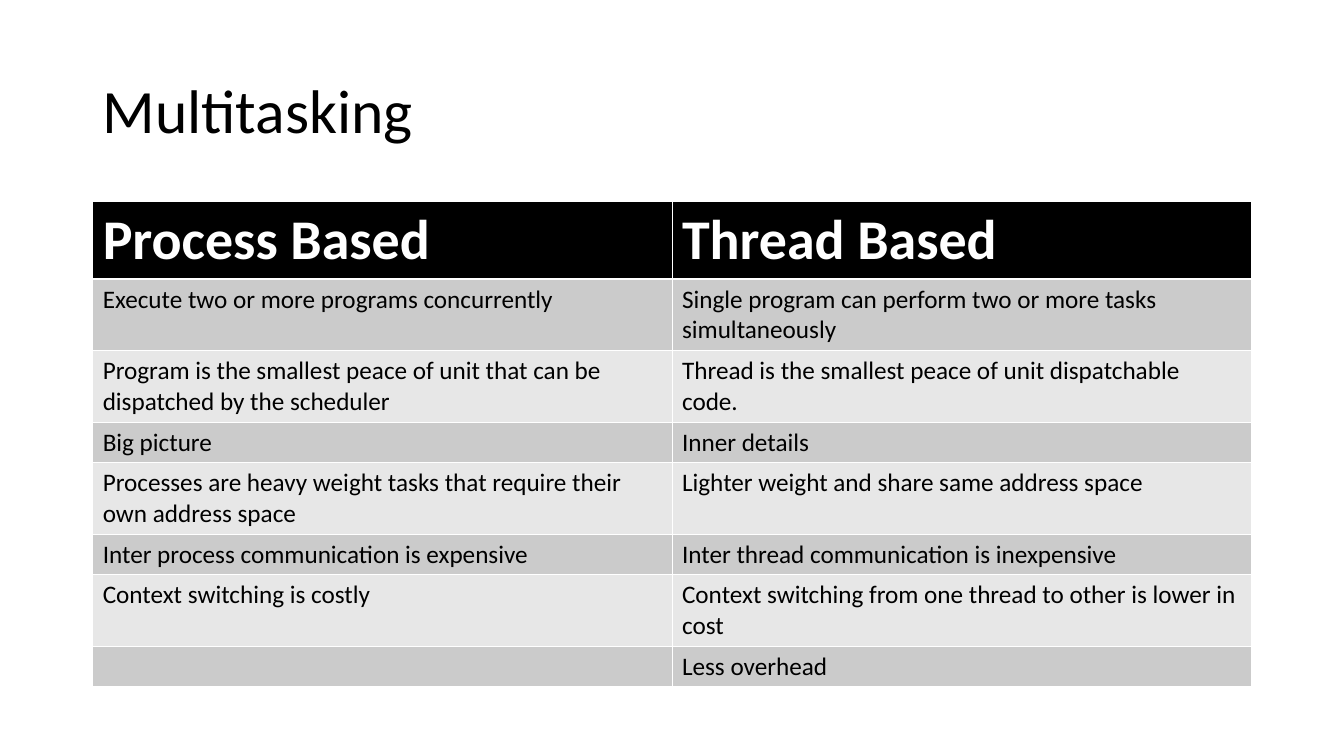
from lxml import etree
from pptx import Presentation
from pptx import util as u
from pptx.dml.color import RGBColor
from pptx.enum import text
from pptx.oxml.ns import qn

TITLE = "Multitasking"
ROWS = [
    ("Process Based", "Thread Based"),
    ("Execute two or more programs concurrently",
     "Single program can perform two or more tasks simultaneously"),
    ("Program is the smallest peace of unit that can be dispatched by the scheduler",
     "Thread is the smallest peace of unit dispatchable code."),
    ("Big picture", "Inner details"),
    ("Processes are heavy weight tasks that require their own address space",
     "Lighter weight and share same address space"),
    ("Inter process communication is expensive",
     "Inter thread communication is inexpensive"),
    ("Context switching is costly",
     "Context switching from one thread to other is lower in cost"),
    ("", "Less overhead"),
]
ROW_HEIGHTS = [77, 71, 71, 40, 71, 40, 71, 40]
COLORS = {"ink": "000000", "paper": "FFFFFF", "dark_band": "CBCBCB", "light_band": "E7E7E7"}
FONT = "Calibri"
PX = 9144
LEFT, WIDTH = 92, 1150
TITLE_TOP, TITLE_HEIGHT = 40, 145
TABLE_TOP = 200
THIN, THICK = 0.45, 1.47


def px(length):
    return u.Emu(length * PX)


def color(name):
    return RGBColor.from_string(COLORS[name])


def set_font(para, size, ink, bold=False):
    para.font.name = FONT
    para.font.size = u.Pt(size)
    para.font.bold = bold
    para.font.color.rgb = color(ink)


def add_borders(cell, row):
    widths = {
        "lnL": THIN,
        "lnR": THIN,
        "lnT": THICK if row == 1 else THIN,
        "lnB": THICK if row == 0 else THIN,
    }
    properties = cell._tc.get_or_add_tcPr()
    for side, width in widths.items():
        line = etree.SubElement(properties, qn("a:" + side), w=str(int(u.Pt(width))))
        fill = etree.SubElement(line, qn("a:solidFill"))
        etree.SubElement(fill, qn("a:srgbClr"), val=COLORS["paper"])


def add_title(page):
    box = page.shapes.add_textbox(px(LEFT), px(TITLE_TOP), px(WIDTH), px(TITLE_HEIGHT))
    frame = box.text_frame
    frame.word_wrap = True
    frame.vertical_anchor = text.MSO_ANCHOR.MIDDLE
    para = frame.paragraphs[0]
    para.text = TITLE
    para.line_spacing = 0.9
    set_font(para, 44, "ink")


def add_comparison(page):
    table = page.shapes.add_table(
        len(ROWS), len(ROWS[0]), px(LEFT), px(TABLE_TOP), px(WIDTH), px(sum(ROW_HEIGHTS))
    ).table
    for row, (words, height) in enumerate(zip(ROWS, ROW_HEIGHTS)):
        table.rows[row].height = px(height)
        header = row == 0
        band = "ink" if header else "dark_band" if row % 2 else "light_band"
        for column, wording in enumerate(words):
            cell = table.cell(row, column)
            add_borders(cell, row)
            cell.fill.solid()
            cell.fill.fore_color.rgb = color(band)
            para = cell.text_frame.paragraphs[0]
            para.text = wording
            set_font(para, 40 if header else 18, "paper" if header else "ink", header)


def main():
    deck = Presentation()
    deck.slide_width, deck.slide_height = px(1334), px(750)
    page = deck.slides.add_slide(deck.slide_layouts[6])
    add_title(page)
    add_comparison(page)
    deck.save("out.pptx")


if __name__ == "__main__":
    main()
